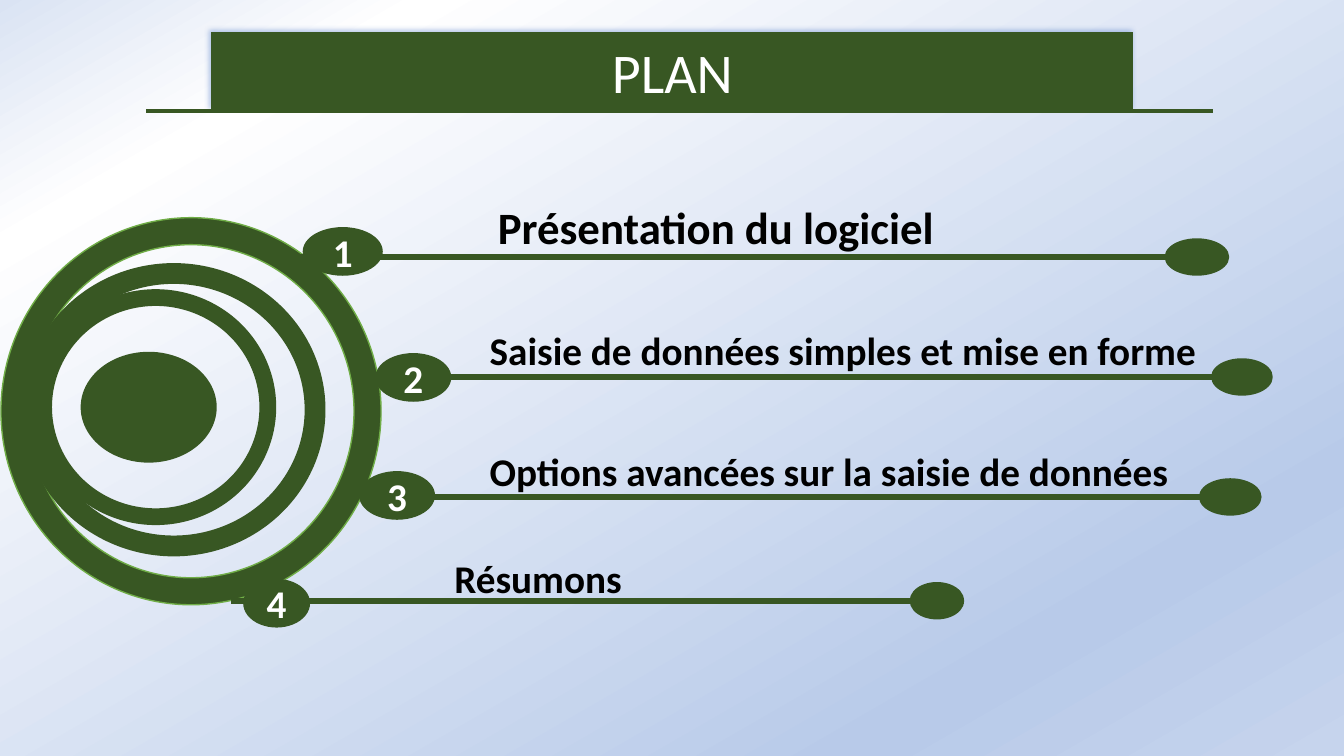
from lxml.etree import SubElement
from pptx import Presentation
from pptx.dml.color import RGBColor
from pptx.enum.shapes import MSO_CONNECTOR, MSO_SHAPE
from pptx.enum.text import MSO_ANCHOR, PP_ALIGN
from pptx.oxml.ns import qn
from pptx.util import Pt

GREEN = "385723"
STOPS = [(0, "DAE3F3"), (16, "FFFFFF"), (81, "B8CAE9"), (100, "C6D4ED")]
RINGS = [(0.7, 155.5, 271.5, 276.5), (15.8, 187.9, 216.7, 209.5),
         (25.2, 206.6, 172.1, 168.5)]
ROWS = [
    ("Présentation du logiciel", 32, (348.5, 139, 383.8, 79.9),
     (210.2, 833, 183.6), (833, 43.9), (216.7, 162.7, 56.2)),
    ("Saisie de données simples et mise en forme", 28, (342.7, 229.7, 534.2, 41),
     (271.4, 866.2, 269.3), (866.2, 41.8), (268.6, 252.7, 53.3)),
    ("Options avancées sur la saisie de données", 28, (342.7, 316.1, 523.4, 41),
     (260.6, 857.5, 355), (857.5, 42.5), (257, 337, 53.3)),
    ("Résumons", 28, (317.5, 392.4, 331.2, 41),
     (164.9, 688.3, 429.1), (650.9, 36.7), (174.2, 414, 46.8)),
]


def paint(color, tone):
    """Set a colour from a hex string."""
    color.rgb = RGBColor.from_string(tone)


def fill(shape, tone=GREEN):
    """Give a shape a solid fill."""
    shape.fill.solid()
    paint(shape.fill.fore_color, tone)


def edge(shape, width, tone=GREEN):
    """Give a shape or connector a line."""
    shape.line.width = Pt(width)
    paint(shape.line.color, tone)


def write(shape, text, size, tone, bold=True, align=PP_ALIGN.LEFT):
    """Put one formatted paragraph in a shape."""
    shape.text_frame.text = text
    para = shape.text_frame.paragraphs[0]
    para.alignment = align
    para.font.name = "Calibri"
    para.font.size = Pt(size)
    para.font.bold = bold
    paint(para.font.color, tone)


def solid(shapes, kind, box, width=None, tone=GREEN):
    """Add a green preset shape, outlined if a width is given."""
    shape = shapes.add_shape(kind, *map(Pt, box))
    shape.shadow.inherit = False
    fill(shape)
    if width:
        edge(shape, width, tone)
    else:
        shape.line.fill.background()
    return shape


def rule(shapes, left, right, y, width):
    """Add a level green line."""
    line = shapes.add_connector(
        MSO_CONNECTOR.STRAIGHT, Pt(left), Pt(y), Pt(right), Pt(y))
    edge(line, width)
    SubElement(line._element.spPr, qn("a:effectLst"))


def shade(slide):
    """Fill the background with a slanted four-stop gradient."""
    back = slide.background.fill
    back.gradient()
    back.gradient_angle = 300
    stops = slide._element.find(".//" + qn("a:gsLst"))
    for old in list(stops):
        stops.remove(old)
    for spot, tone in STOPS:
        stop = SubElement(stops, qn("a:gs"), pos=str(spot * 1000))
        SubElement(stop, qn("a:srgbClr"), val=tone)


def head(slide):
    """Format the title as a banner above a line."""
    title = slide.shapes.title
    title.left, title.top, title.width, title.height = map(
        Pt, (151.2, 23, 658.1, 55.4))
    fill(title)
    edge(title, 0.75)
    effects = SubElement(title._element.spPr, qn("a:effectLst"))
    cast = SubElement(effects, qn("a:outerShdw"), blurRad=str(Pt(4)),
                      dist=str(Pt(3)), dir="13500000")
    tone = SubElement(cast, qn("a:srgbClr"), val="4472C4")
    SubElement(tone, qn("a:alpha"), val="40000")
    write(title, "PLAN", 40, "FFFFFF", False, PP_ALIGN.CENTER)
    title.text_frame.vertical_anchor = MSO_ANCHOR.TOP
    rule(slide.shapes, 104.4, 866.2, 79.2, 3)


def target(slide):
    """Draw the nested rings and their core."""
    shapes = slide.shapes.add_group_shape().shapes
    for rank, box in enumerate(RINGS):
        ring = solid(shapes, MSO_SHAPE.DONUT, box, 0 if rank else 1, "70AD47")
        ring.adjustments[0] = 0.071
    solid(shapes, MSO_SHAPE.OVAL, (57.6, 251.3, 97.2, 79.2))


def entry(slide, num, text, size, box, span, dot, badge):
    """Draw a numbered branch with its label."""
    shapes = slide.shapes.add_group_shape().shapes
    left, right, y = span
    rule(shapes, left, right, y, 4.5)
    x, wide = dot
    solid(shapes, MSO_SHAPE.OVAL, (x, y - 12.25, wide, 24.5), 2.25)
    disc = solid(shapes, MSO_SHAPE.OVAL, (*badge, 33.8), 1)
    disc.text_frame.vertical_anchor = MSO_ANCHOR.MIDDLE
    write(disc, str(num), 28, "FFFFFF", align=PP_ALIGN.CENTER)
    label = slide.shapes.add_textbox(*map(Pt, box))
    label.text_frame.word_wrap = True
    write(label, text, size, "000000")


def main():
    """Build and save the plan slide."""
    deck = Presentation()
    deck.slide_width, deck.slide_height = Pt(960), Pt(540)
    slide = deck.slides.add_slide(deck.slide_layouts[5])
    shade(slide)
    head(slide)
    target(slide)
    for num, row in enumerate(ROWS, 1):
        entry(slide, num, *row)
    deck.save("out.pptx")


if __name__ == "__main__":
    main()
